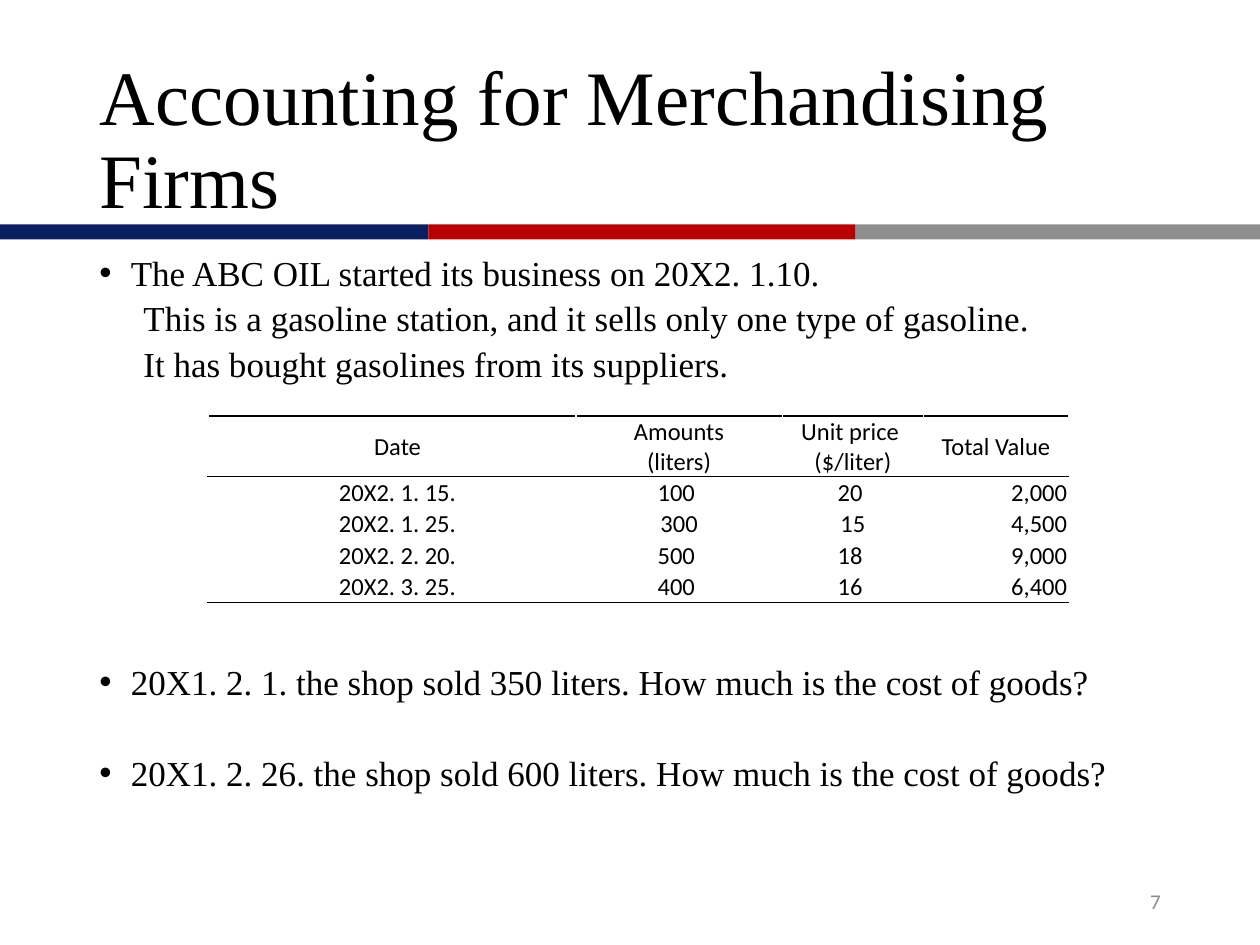
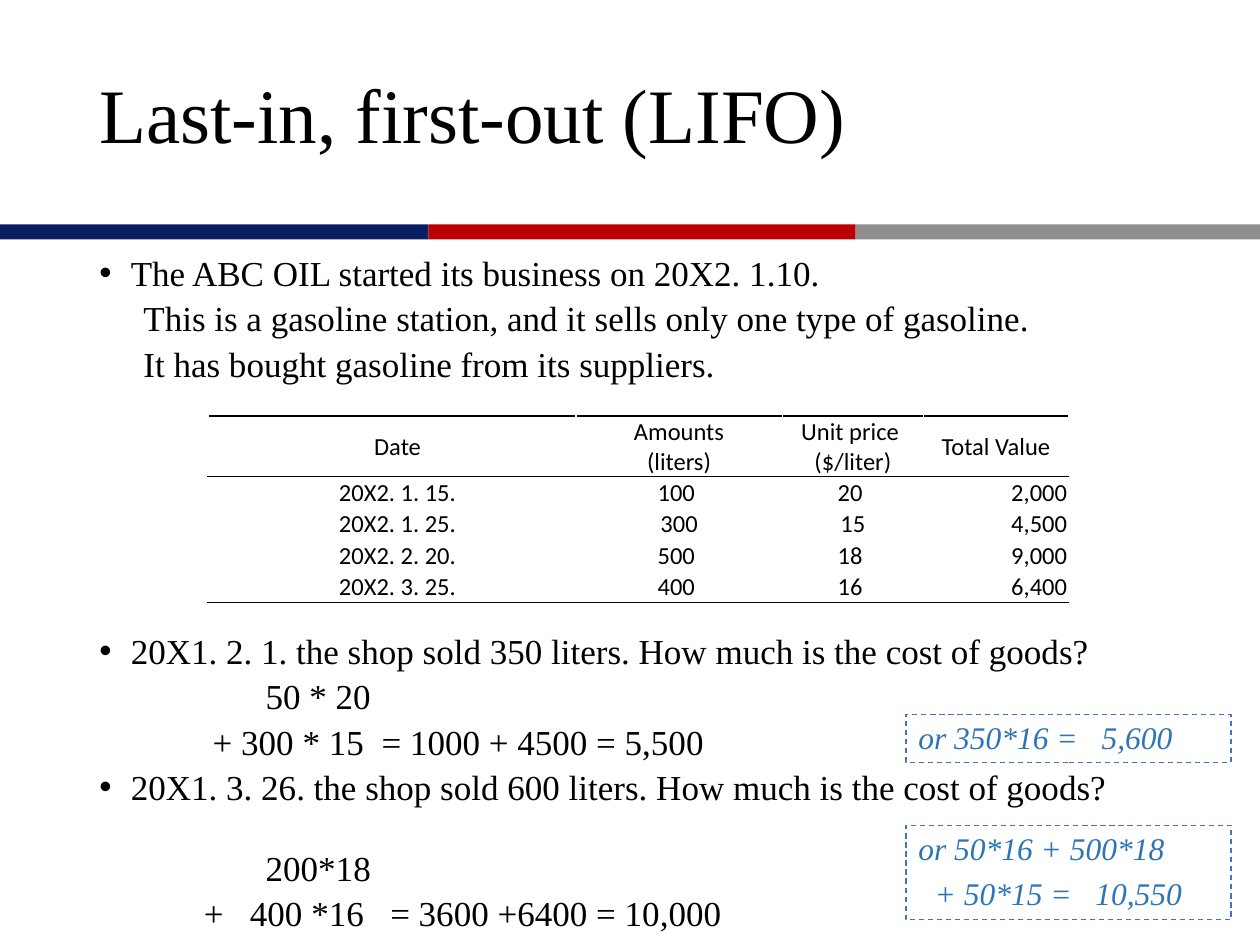
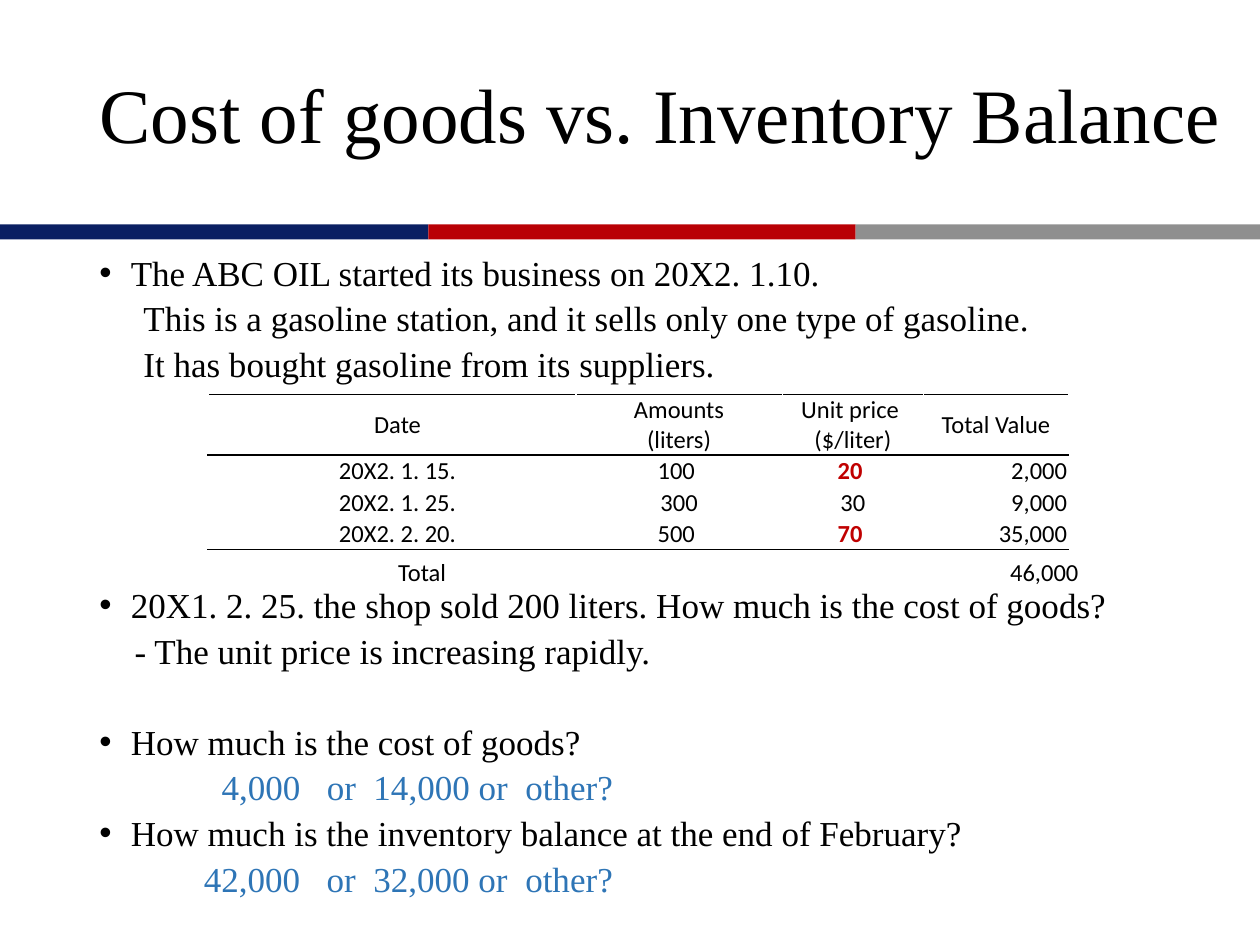
import itertools

import pptx
import pptx.util
import pptx.dml.color
import pptx.enum.dml
import pptx.enum.shapes
import pptx.enum.text
import pptx.oxml.ns
import lxml.etree

Inches = pptx.util.Inches
Pt = pptx.util.Pt
ALIGN = pptx.enum.text.PP_ALIGN
ANCHOR = pptx.enum.text.MSO_ANCHOR

COLORS = {
    "text": "000000", "white": "FFFFFF", "navy": "0A1F62", "red": "B90005",
    "gray": "8F8F8F", "number": "8C8C8C", "answer": "2E75B6",
    "callout": "4472C4", "price": "C00000",
}
SERIF = "Times New Roman"
SANS = "Calibri"
BANDS = [("navy", 0, 3.4), ("red", 3.4, 6.79), ("gray", 6.79, 10)]
HEADER = ["Date", "Amounts\n(liters)", "Unit price \n($/liter)", "Total Value"]
COLUMN_WIDTHS = [2.92, 1.64, 1.12, 1.15]
HEADER_HEIGHT = 0.48
ROW_HEIGHT = 0.25
PURCHASES = [
    ["20X2. 1. 15.", "100 ", "20 ", "2,000"],
    ["20X2. 1. 25.", "300", "15", "4,500"],
    ["20X2. 2. 20.", "500 ", "18 ", "9,000"],
    ["20X2. 3. 25.", "400 ", "16 ", "6,400"],
]
RISING_PURCHASES = [
    ["20X2. 1. 15.", "100 ", "20 ", "2,000"],
    ["20X2. 1. 25.", "300", "30", "9,000"],
    ["20X2. 2. 20.", "500 ", "70 ", "35,000"],
]
SPACED = {"line": Pt(20), "before": 3, "after": 3}
BULLET = {"bullet": True}
WIDE_GAPS = {"~": 0.25, "|": 0.5}


def color(name):
    return pptx.dml.color.RGBColor.from_string(COLORS[name])


def add_xml(parent, tag, **attributes):
    element = lxml.etree.SubElement(parent, pptx.oxml.ns.qn(tag))
    for name, value in attributes.items():
        element.set(name, str(value))
    return element


def write(frame, text, size=20, font=SERIF, fill="text", bold=False, italic=False,
          align=ALIGN.LEFT, line=None, before=0, after=0, indent=0, bullet=False):
    paragraph = frame.paragraphs[0]
    if paragraph.runs:
        paragraph = frame.add_paragraph()
    paragraph.alignment = align
    paragraph.line_spacing = line
    paragraph.space_before = Pt(before)
    paragraph.space_after = Pt(after)
    properties = paragraph._p.get_or_add_pPr()
    properties.set("marL", str(Inches(0.25 if bullet else indent)))
    properties.set("indent", str(Inches(-0.25 if bullet else 0)))
    if bullet:
        add_xml(properties, "a:buFont", typeface="Arial")
        add_xml(properties, "a:buChar", char="•")
    for gap, characters in itertools.groupby(text, lambda character: WIDE_GAPS.get(character)):
        run = paragraph.add_run()
        run.text = " " if gap else "".join(characters)
        run.font.size = Pt(size)
        run.font.name = font
        run.font.bold = bold
        run.font.italic = italic
        run.font.color.rgb = color(fill)
        if gap:
            run._r.get_or_add_rPr().set("spc", str(round(gap * size * 100)))


def add_text_box(slide, left, top, width, height, anchor=ANCHOR.TOP, margin=None):
    frame = slide.shapes.add_textbox(
        Inches(left), Inches(top), Inches(width), Inches(height)).text_frame
    frame.word_wrap = True
    frame.vertical_anchor = anchor
    if margin is not None:
        frame.margin_left = frame.margin_right = Inches(margin)
    return frame


def add_body(slide, top, height, lines):
    frame = add_text_box(slide, 0.69, top, 8.83, height)
    for text, changes in lines:
        write(frame, text, **{**SPACED, **changes})


def add_rectangle(slide, left, top, width, height, fill=None):
    shape = slide.shapes.add_shape(
        pptx.enum.shapes.MSO_SHAPE.RECTANGLE,
        Inches(left), Inches(top), Inches(width), Inches(height))
    shape.shadow.inherit = False
    shape.line.fill.background()
    if fill:
        shape.fill.solid()
        shape.fill.fore_color.rgb = color(fill)
    else:
        shape.fill.background()
    return shape


def add_callout(slide, top, height, lines, fill=None):
    shape = add_rectangle(slide, 7.19, top, 2.58, height, fill)
    shape.line.color.rgb = color("callout")
    shape.line.width = Pt(0.75)
    shape.line.dash_style = pptx.enum.dml.MSO_LINE.DASH
    frame = shape.text_frame
    frame.word_wrap = True
    frame.vertical_anchor = ANCHOR.TOP
    for text, indent in lines:
        write(frame, text, size=18, fill="answer", italic=True, indent=indent, **SPACED)


def add_slide(presentation, title, supply, line=Pt(20), before=3, after=3, width=8.98):
    slide = presentation.slides.add_slide(presentation.slide_layouts[5])
    for fill, start, end in BANDS:
        add_rectangle(slide, start, 1.78, end - start, 0.12, fill)
    shape = slide.shapes.title
    shape.left, shape.top = Inches(0.69), Inches(0.4)
    shape.width, shape.height = Inches(width), Inches(1.45)
    frame = shape.text_frame
    frame.word_wrap = True
    frame.auto_size = pptx.enum.text.MSO_AUTO_SIZE.NONE
    frame.vertical_anchor = ANCHOR.MIDDLE
    write(frame, title, size=44, line=line, before=before, after=after)
    add_body(slide, 2, 1.15, [
        ("The ABC OIL started its business on 20X2. 1.10.", BULLET),
        ("This is a gasoline station, and it sells only one type of gasoline.",
         {"indent": 0.35}),
        (f"It has bought {supply} from its suppliers.", {"indent": 0.35}),
    ])
    return slide


def set_borders(cell, top, bottom):
    properties = cell._tc.get_or_add_tcPr()
    sides = {"a:lnL": "white", "a:lnR": "white", "a:lnT": top, "a:lnB": bottom}
    for tag, name in sides.items():
        border = add_xml(properties, tag, w=Pt(1))
        add_xml(add_xml(border, "a:solidFill"), "a:srgbClr", val=COLORS[name])


def add_purchase_table(slide, top, purchases, marked_prices=()):
    rows = [HEADER] + purchases
    table = slide.shapes.add_table(
        len(rows), len(HEADER), Inches(1.65), Inches(top), Inches(sum(COLUMN_WIDTHS)),
        Inches(HEADER_HEIGHT + ROW_HEIGHT * len(purchases))).table
    table.first_row = table.horz_banding = False
    for column, width in zip(table.columns, COLUMN_WIDTHS):
        column.width = Inches(width)
    for row_index, values in enumerate(rows):
        table.rows[row_index].height = Inches(ROW_HEIGHT if row_index else HEADER_HEIGHT)
        for column_index, value in enumerate(values):
            cell = table.cell(row_index, column_index)
            cell.vertical_anchor = ANCHOR.MIDDLE
            cell.margin_left = Inches(0.01 if column_index else 0.1)
            cell.margin_right = cell.margin_top = Inches(0.01)
            cell.margin_bottom = 0
            set_borders(cell, "text" if row_index < 2 else "white",
                        "text" if row_index in (0, len(purchases)) else "white")
            cell.fill.background()
            marked = column_index == 2 and value in marked_prices
            right = row_index > 0 and column_index == 3
            for text in value.split("\n"):
                write(cell.text_frame, text, size=14, font=SANS, bold=marked,
                      fill="price" if marked else "text",
                      align=ALIGN.RIGHT if right else ALIGN.CENTER)


def build_question_slide(presentation):
    slide = add_slide(presentation, "Accounting for Merchandising Firms", "gasolines",
                      line=0.9, before=0, after=0)
    add_body(slide, 5.25, 1.51, [
        ("20X1. 2. 1. the shop sold 350 liters. How much is the cost of goods?", BULLET),
        ("20X1. 2. 26. the shop sold 600 liters. How much is the cost of goods?",
         {"bullet": True, "before": 29}),
    ])
    add_purchase_table(slide, 3.3, PURCHASES)
    number = add_text_box(slide, 7.06, 6.95, 2.25, 0.4, ANCHOR.MIDDLE)
    write(number, "7", size=12, font=SANS, fill="number", align=ALIGN.RIGHT)


def build_lifo_slide(presentation):
    slide = add_slide(presentation, "Last-in, first-out (LIFO)", "gasoline")
    add_body(slide, 5, 2.4, [
        ("20X1. 2. 1. the shop sold 350 liters. How much is the cost of goods?", BULLET),
        ("50 * 20", {"indent": 1.32}),
        ("+ 300 * 15~= 1000 + 4500 = 5,500", {"indent": 0.9}),
        ("20X1. 3. 26. the shop sold 600 liters. How much is the cost of goods?", BULLET),
        ("200*18", {"indent": 1.32, "before": 23}),
        ("+|400 *16|= 3600 +6400 = 10,000", {"indent": 0.83}),
    ])
    add_purchase_table(slide, 3.3, PURCHASES)
    add_callout(slide, 5.67, 0.38, [("or 350*16 =|5,600", 0)])
    add_callout(slide, 6.55, 0.75, [
        ("or 50*16 + 500*18", 0),
        ("+ 50*15 =|10,550", 0.13),
    ], fill="white")


def build_balance_slide(presentation):
    slide = add_slide(presentation, "Cost of goods vs. Inventory Balance", "gasoline",
                      width=9.3)
    add_body(slide, 4.64, 2.71, [
        ("20X1. 2. 25. the shop sold 200 liters. How much is the cost of goods?", BULLET),
        ("- The unit price is increasing rapidly.", {"indent": 0.28}),
        ("How much is the cost of goods?", {"bullet": True, "before": 29}),
        ("4,000|or~14,000 or~other?", {"fill": "answer", "indent": 0.97}),
        ("How much is the inventory balance at the end of February?", BULLET),
        ("42,000|or~32,000 or~other?", {"fill": "answer", "indent": 0.83}),
    ])
    add_purchase_table(slide, 3.13, RISING_PURCHASES, marked_prices=("20 ", "70 "))
    for text, left, align in [("Total", 3.16, ALIGN.LEFT), ("46,000", 7.56, ALIGN.RIGHT)]:
        frame = add_text_box(slide, left, 4.39, 1, 0.3, ANCHOR.MIDDLE, margin=0)
        write(frame, text, size=14, font=SANS, align=align)


def main():
    presentation = pptx.Presentation()
    presentation.slide_width = Inches(10)
    presentation.slide_height = Inches(7.5)
    build_question_slide(presentation)
    build_lifo_slide(presentation)
    build_balance_slide(presentation)
    presentation.save("out.pptx")


if __name__ == "__main__":
    main()
